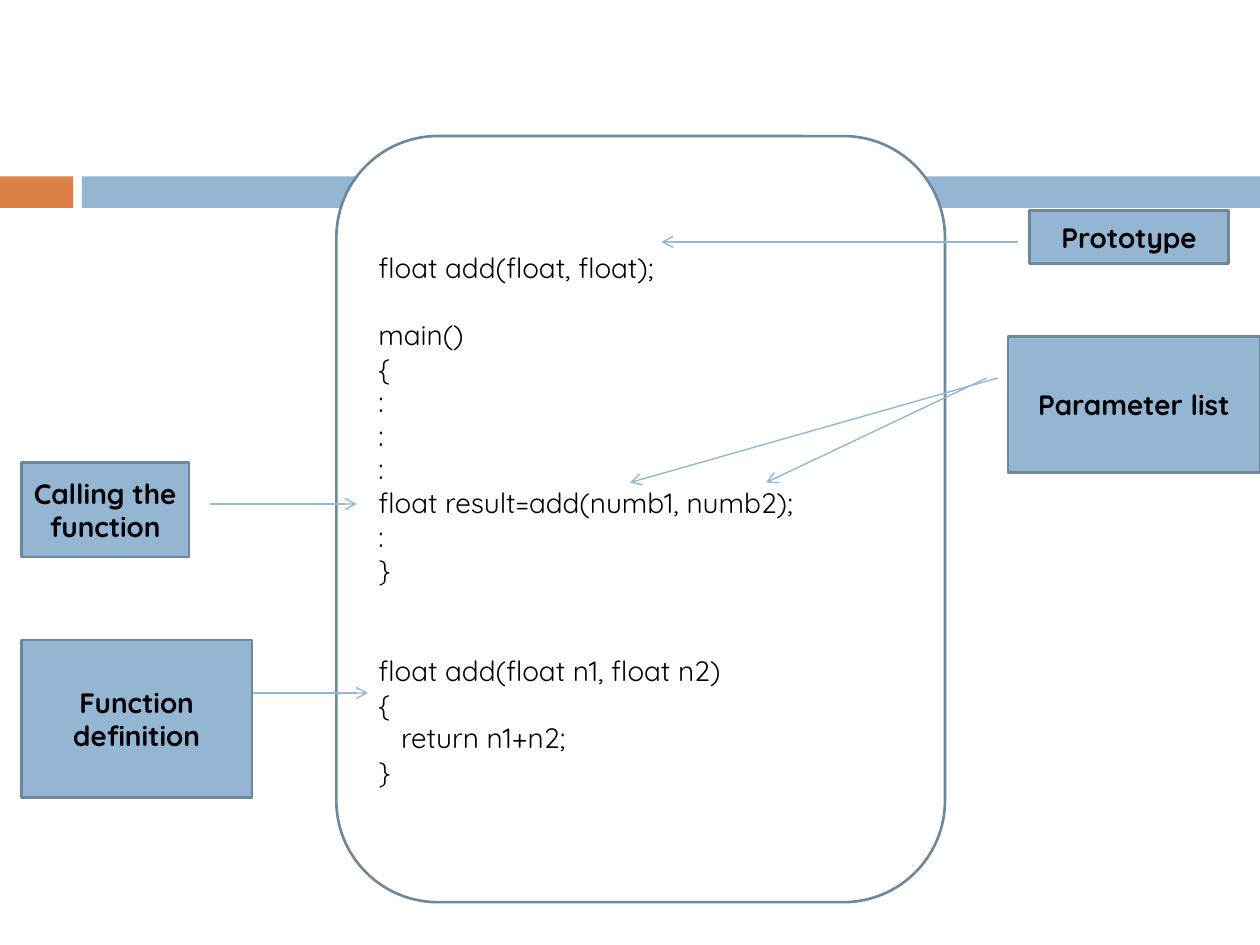
from dataclasses import dataclass

from lxml import etree
from pptx import Presentation
from pptx.dml.color import RGBColor
from pptx.enum.shapes import MSO_CONNECTOR, MSO_SHAPE
from pptx.enum.text import MSO_ANCHOR, PP_ALIGN
from pptx.oxml.ns import qn
from pptx.util import Inches, Pt

RECT, ROUNDED = MSO_SHAPE.RECTANGLE, MSO_SHAPE.ROUNDED_RECTANGLE
STRAIGHT = MSO_CONNECTOR.STRAIGHT
MIDDLE = MSO_ANCHOR.MIDDLE
LEFT, CENTER = PP_ALIGN.LEFT, PP_ALIGN.CENTER


@dataclass(frozen=True)
class Theme:
    font: str = "Quicksand"
    text_size: float = 16
    blank_line: float = 19.2
    outline_width: float = 1.5
    arrow_width: float = 0.79
    ink: RGBColor = RGBColor(0x00, 0x00, 0x00)
    paper: RGBColor = RGBColor(0xFF, 0xFF, 0xFF)
    blue: RGBColor = RGBColor(0x94, 0xB6, 0xD2)
    outline: RGBColor = RGBColor(0x6D, 0x87, 0x9B)
    orange: RGBColor = RGBColor(0xDD, 0x80, 0x47)


class SlideBuilder:
    """Draws the elements of one slide in a shared theme."""

    def __init__(self, slide, theme):
        self.slide = slide
        self.theme = theme

    def box(self, bounds, fill, preset=RECT, outlined=True):
        box = self.slide.shapes.add_shape(preset, *map(Inches, bounds))
        box.shadow.inherit = False
        box.fill.solid()
        box.fill.fore_color.rgb = fill
        if outlined:
            box.line.color.rgb = self.theme.outline
            box.line.width = Pt(self.theme.outline_width)
        else:
            box.line.fill.background()
        box.text_frame.word_wrap = True
        box.text_frame.vertical_anchor = MIDDLE
        return box

    def text_line(self, paragraph, text, align, bold=False):
        paragraph.alignment = align
        run = paragraph.add_run()
        run.text = text
        font_format = {"name": self.theme.font, "size": Pt(self.theme.text_size), "bold": bold}
        for attribute, value in font_format.items():
            setattr(run.font, attribute, value)
        run.font.color.rgb = self.theme.ink

    def band(self, bounds, fill):
        self.box(bounds, fill, outlined=False)

    def label(self, text, bounds):
        label = self.box(bounds, self.theme.blue)
        self.text_line(label.text_frame.paragraphs[0], text, CENTER, bold=True)

    def code_panel(self, bounds, code):
        frame = self.box(bounds, self.theme.paper, ROUNDED).text_frame
        for index, (text, blanks_above, indent) in enumerate(code):
            paragraph = frame.add_paragraph() if index else frame.paragraphs[0]
            self.text_line(paragraph, text, LEFT)
            paragraph.space_before = Pt(blanks_above * self.theme.blank_line)
            if indent:
                properties = paragraph._p.get_or_add_pPr()
                properties.set("marL", str(Inches(indent)))

    def arrow(self, start, end):
        arrow = self.slide.shapes.add_connector(STRAIGHT, *map(Inches, start + end))
        arrow.line.color.rgb = self.theme.blue
        arrow.line.width = Pt(self.theme.arrow_width)
        etree.SubElement(arrow.line._get_or_add_ln(), qn("a:tailEnd"), type="arrow")
        etree.SubElement(arrow._element.spPr, qn("a:effectLst"))


CODE = [
    ("float add(float, float);", 0, 0),
    ("main()", 1, 0),
    ("{", 0, 0),
    *[(":", 0, 0)] * 3,
    ("float result=add(numb1, numb2);", 0, 0),
    (":", 0, 0),
    ("}", 0, 0),
    ("float add(float n1, float n2)", 2, 0),
    ("{", 0, 0),
    ("return n1+n2;", 0, 0.18),
    ("}", 0, 0),
]

ARROWS = [
    ((8.08, 1.92), (5.25, 1.92)),
    ((1.67, 4), (2.83, 4)),
    ((1.92, 5.5), (2.92, 5.5)),
    ((7.92, 3), (5, 3.83)),
    ((7.83, 3), (6.08, 3.83)),
]

LABELS = {
    "Prototype": (8.17, 1.67, 1.58, 0.42),
    "Calling the function": (0.17, 3.67, 1.33, 0.75),
    "Function definition": (0.17, 5.08, 1.83, 1.25),
    "Parameter list": (8, 2.67, 2, 1.08),
}


def main():
    deck = Presentation()
    deck.slide_width, deck.slide_height = Inches(10), Inches(7.5)
    theme = Theme()
    builder = SlideBuilder(deck.slides.add_slide(deck.slide_layouts[6]), theme)
    builder.band((0, 1.4, 0.58, 0.25), theme.orange)
    builder.band((0.65, 1.4, 9.35, 0.25), theme.blue)
    builder.code_panel((2.67, 1.08, 4.83, 6.08), CODE)
    for start, end in ARROWS:
        builder.arrow(start, end)
    for text, bounds in LABELS.items():
        builder.label(text, bounds)
    deck.save("out.pptx")


if __name__ == "__main__":
    main()
